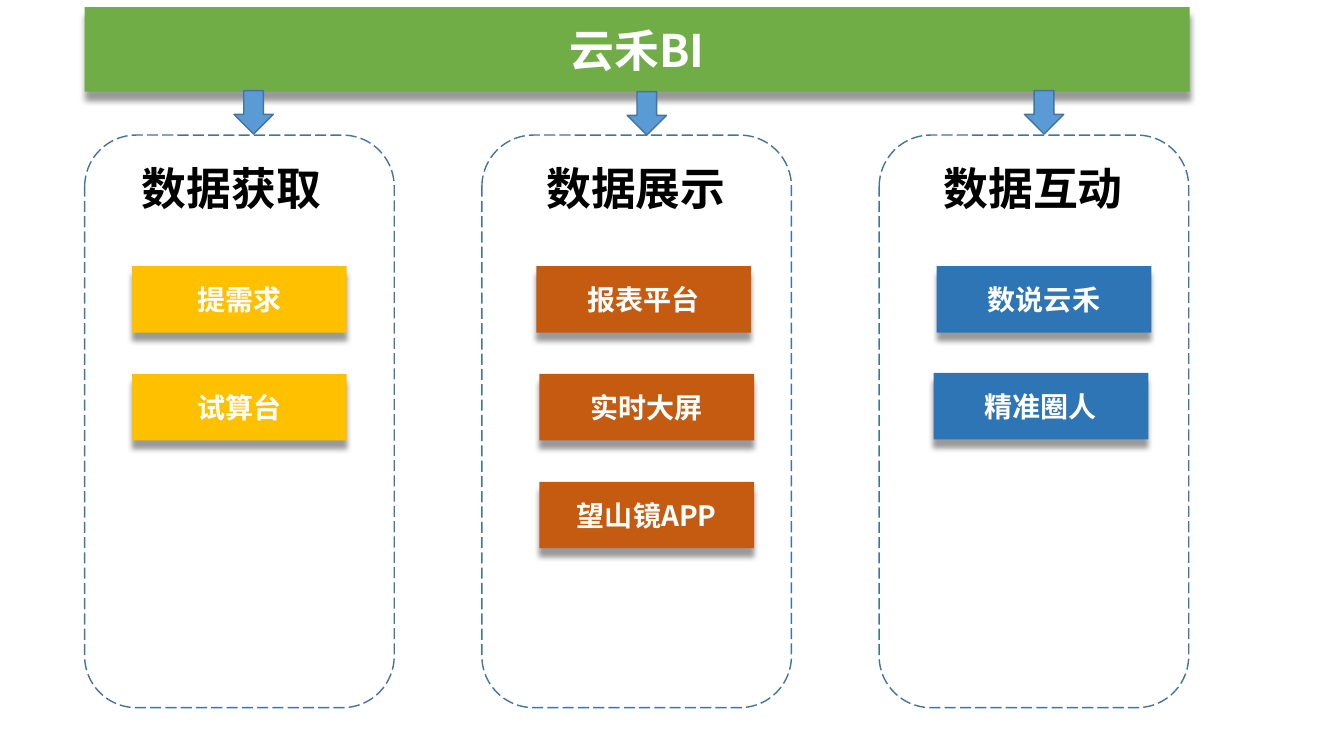
from dataclasses import dataclass

from lxml import etree
from pptx import Presentation
from pptx.dml.color import RGBColor
from pptx.enum.dml import MSO_LINE
from pptx.enum.shapes import MSO_SHAPE
from pptx.enum.text import MSO_ANCHOR, MSO_AUTO_SIZE, PP_ALIGN
from pptx.oxml.ns import qn
from pptx.shapes.autoshape import Shape
from pptx.slide import Slide
from pptx.util import Inches, Pt

RECTANGLE = MSO_SHAPE.RECTANGLE
ROUNDED = MSO_SHAPE.ROUNDED_RECTANGLE
DOWN_ARROW = MSO_SHAPE.DOWN_ARROW
LONG_DASH = MSO_LINE.LONG_DASH
MIDDLE = MSO_ANCHOR.MIDDLE
CENTER, LEFT = PP_ALIGN.CENTER, PP_ALIGN.LEFT
FIT_SHAPE, NO_FIT = MSO_AUTO_SIZE.SHAPE_TO_FIT_TEXT, MSO_AUTO_SIZE.NONE


@dataclass(frozen=True)
class Theme:
    font: str = "Noto Sans CJK SC"
    heading_size: int = 32
    item_size: int = 20
    white: str = "FFFFFF"
    black: str = "000000"
    banner: str = "70AD47"
    arrow: str = "5B9BD5"
    outline: str = "43739E"
    yellow: str = "FFC000"
    orange: str = "C55A11"
    blue: str = "2E75B6"


@dataclass(frozen=True)
class Item:
    text: str
    left: float
    top: float


@dataclass(frozen=True)
class Column:
    heading: str
    heading_left: float
    heading_width: float
    arrow_left: float
    arrow_top: float
    color: str
    items: tuple[Item, ...]


THEME = Theme()
PANEL_LEFT, PANEL_STEP = 0.84, 3.94
COLUMNS = (
    Column("数据获取", 1.31, 2.13, 2.32, 0.9, THEME.yellow,
           (Item("提需求", 1.31, 2.64), Item("试算台", 1.31, 3.71))),
    Column("数据展示", 5.32, 2, 6.22, 0.91, THEME.orange,
           (Item("报表平台", 5.32, 2.64), Item("实时大屏", 5.35, 3.71),
            Item("望山镜APP", 5.35, 4.78))),
    Column("数据互动", 9.26, 2, 10.16, 0.9, THEME.blue,
           (Item("数说云禾", 9.29, 2.64), Item("精准圈人", 9.26, 3.7))),
)


def write(shape: Shape, text: str, size: int, color: str, align: PP_ALIGN) -> None:
    """Put one bold line of text into a shape."""
    frame = shape.text_frame
    frame.text = text
    para = frame.paragraphs[0]
    para.alignment = align
    span = para.runs[0]
    span.font.name = THEME.font
    span.font.size = Pt(size)
    span.font.bold = True
    span.font.color.rgb = RGBColor.from_string(color)
    east_asian = etree.SubElement(span.font._element, qn("a:ea"))
    east_asian.set("typeface", THEME.font)


def fill_solid(shape: Shape, color: str) -> None:
    shape.fill.solid()
    shape.fill.fore_color.rgb = RGBColor.from_string(color)


def outline(shape: Shape) -> None:
    shape.line.color.rgb = RGBColor.from_string(THEME.outline)
    shape.line.width = Pt(1)


def drop_shadow(shape: Shape) -> None:
    """Add a soft shadow straight below the shape."""
    shape.shadow.inherit = False
    effects = shape._element.spPr.find(qn("a:effectLst"))
    shadow = etree.SubElement(effects, qn("a:outerShdw"), blurRad=str(Pt(4)),
                              dist=str(Pt(6)), dir="5400000", algn="t", rotWithShape="0")
    color = etree.SubElement(shadow, qn("a:srgbClr"), val=THEME.black)
    etree.SubElement(color, qn("a:alpha"), val="40000")


def add_box(slide: Slide, kind: MSO_SHAPE, left: float, top: float,
            width: float, height: float) -> Shape:
    box = slide.shapes.add_shape(kind, Inches(left), Inches(top), Inches(width), Inches(height))
    box.shadow.inherit = False
    return box


def style_card(card: Shape, text: str, size: int, color: str) -> None:
    """Format a filled, shadowed card with centred white text."""
    fill_solid(card, color)
    card.line.fill.background()
    drop_shadow(card)
    frame = card.text_frame
    frame.word_wrap = True
    frame.auto_size = NO_FIT
    frame.vertical_anchor = MIDDLE
    write(card, text, size, THEME.white, CENTER)


def add_column(slide: Slide, column: Column, panel_left: float) -> None:
    # Heading
    heading = slide.shapes.add_textbox(Inches(column.heading_left), Inches(1.55),
                                       Inches(column.heading_width), Inches(0.64))
    heading.text_frame.word_wrap = False
    heading.text_frame.auto_size = FIT_SHAPE
    write(heading, column.heading, THEME.heading_size, THEME.black, LEFT)

    # Dashed panel
    panel = add_box(slide, ROUNDED, panel_left, 1.34, 3.07, 5.68)
    panel.fill.background()
    outline(panel)
    panel.line.dash_style = LONG_DASH

    # Arrow from the banner
    arrow = add_box(slide, DOWN_ARROW, column.arrow_left, column.arrow_top, 0.39, 0.43)
    fill_solid(arrow, THEME.arrow)
    outline(arrow)

    # Item cards
    for item in column.items:
        card = add_box(slide, RECTANGLE, item.left, item.top, 2.13, 0.66)
        style_card(card, item.text, THEME.item_size, column.color)


def main() -> None:
    deck = Presentation()
    deck.slide_width, deck.slide_height = Inches(13.33), Inches(7.5)
    page = deck.slides.add_slide(deck.slide_layouts.get_by_name("Title Only"))

    # Title banner
    banner = page.shapes.title
    banner.left, banner.top = Inches(0.84), Inches(0.07)
    banner.width, banner.height = Inches(10.96), Inches(0.84)
    style_card(banner, "云禾BI", THEME.heading_size, THEME.banner)

    # Columns
    for index, column in enumerate(COLUMNS):
        add_column(page, column, PANEL_LEFT + index * PANEL_STEP)

    deck.save("out.pptx")


if __name__ == "__main__":
    main()
